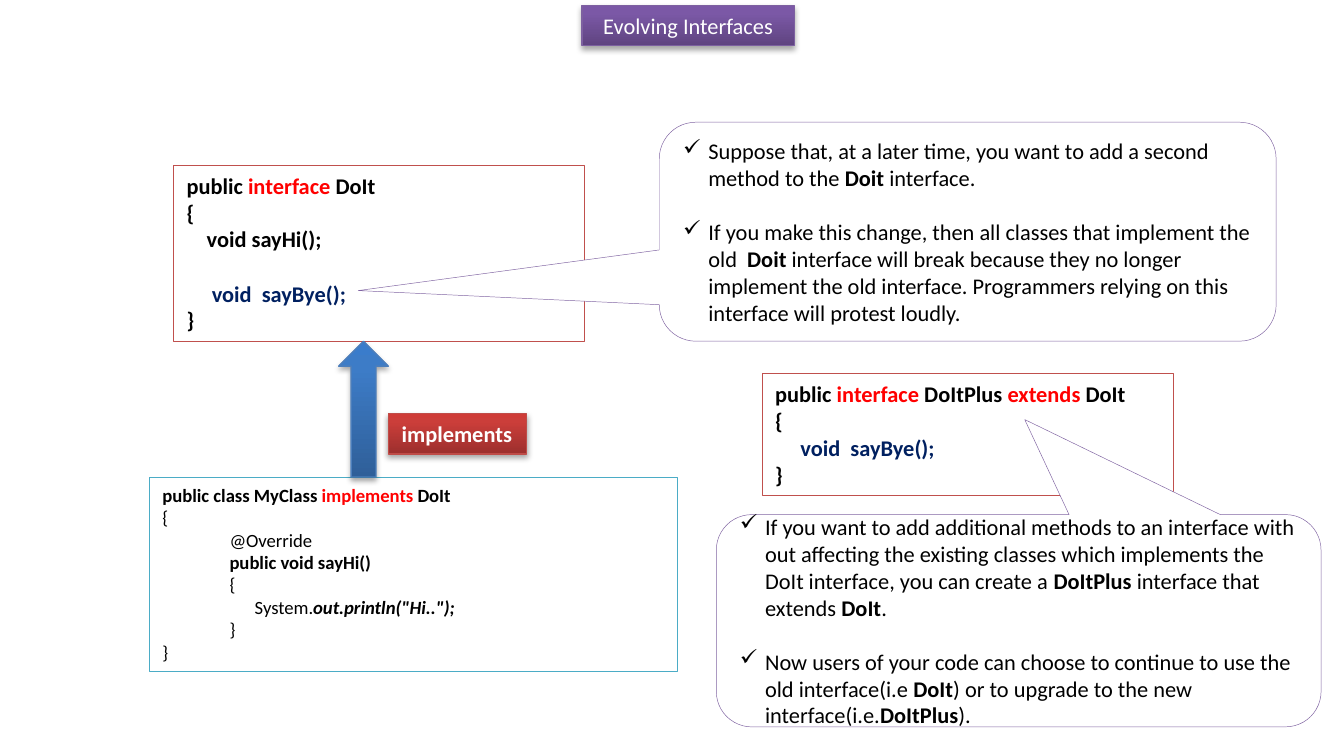
from lxml.etree import SubElement
from pptx import Presentation
from pptx.dml.color import RGBColor
from pptx.enum.shapes import MSO_SHAPE as SHAPE
from pptx.enum.text import MSO_ANCHOR as ANCHOR, PP_ALIGN as ALIGN
from pptx.oxml.ns import qn
from pptx.util import Inches, Pt

THEME = {
    "font": "Calibri", "body": 12, "small": 10,
    "paper": "FFFFFF", "ink": "000000",
    "purple": ("5F4480", "7B58A6", "7C57A8"), "purple_line": "7D60A0",
    "red": ("9C2F2D", "CB3E3A", "CE3B37"), "red_line": "BF4C48",
    "blue": ("2F5F99", "3D7CC7", "3A7CCB"), "blue_line": "4B7EBC",
    "interface": "C0504D", "class": "4BACC6", "callout": "8064A2",
}
STOPS = (0, 80, 100)
COLS, ROWS = 100, 55
WIDTH, HEIGHT = Inches(10), Inches(5.5)
HANG, TAB = Pt(13.5), Inches(0.5)

# Run styles: font attributes, with the colour under "color"
PLAIN = {"bold": False}
BOLD = {"bold": True}
KEY = {"bold": True, "color": "FF0000"}
NEW = {"bold": True, "color": "002060"}
CALL = {"bold": True, "italic": True}
LABEL = {"color": THEME["paper"]}

# A paragraph is (runs, format); a run is (text, style)
INTERFACE = [
    ([("public ", BOLD), ("interface ", KEY), ("DoIt", BOLD)], {}),
    ([("{", BOLD)], {}),
    ([("    void sayHi();", BOLD)], {}),
    ([("     void  sayBye();", NEW)], {"gap": 14.6}),
    ([("}", BOLD)], {}),
]
CLASS = [
    ([("public class MyClass ", BOLD), ("implements ", KEY), ("DoIt", BOLD)], {}),
    ([("{", PLAIN)], {}),
    ([("@Override", PLAIN)], {"left": TAB}),
    ([("public void sayHi()", BOLD)], {"left": TAB}),
    ([("{", PLAIN)], {"left": TAB}),
    ([("      System.", PLAIN), ('out.println("Hi..");', CALL)], {"left": TAB}),
    ([("}", PLAIN)], {"left": TAB}),
    ([("}", PLAIN)], {}),
]
SUBINTERFACE = [
    ([("public ", BOLD), ("interface ", KEY), ("DoItPlus ", BOLD),
      ("extends", KEY), (" DoIt", BOLD)], {}),
    ([("{", BOLD)], {}),
    ([("     void  sayBye();", NEW)], {}),
    ([("}", BOLD)], {}),
]
BULLET = {"left": HANG, "bullet": "✓"}
SPACED = {**BULLET, "gap": 14.6}
PROBLEM = [
    ([("Suppose that, at a later time, you want to add a second method to the ", PLAIN),
      ("Doit ", BOLD), ("interface.", PLAIN)], BULLET),
    ([("If you make this change, then all classes that implement the old\u00a0 ", PLAIN),
      ("Doit", BOLD),
      ("\u00a0interface will break because they no longer implement the old interface. "
       "Programmers relying on this interface will protest loudly.", PLAIN)], SPACED),
]
SOLUTION = [
    ([("If you want to add additional methods to an interface with out affecting the "
       "existing classes which implements the DoIt interface, you can create a ", PLAIN),
      ("DoItPlus", BOLD), ("\u00a0interface that extends\u00a0", PLAIN),
      ("DoIt", BOLD), (".", PLAIN)], BULLET),
    ([("Now users of your code can choose to continue to use the old interface(i.e ", PLAIN),
      ("DoIt", BOLD), (") or to upgrade to the new interface(i.e.", PLAIN),
      ("DoItPlus", BOLD), (").", PLAIN)], SPACED),
]
TITLE = [([("Evolving Interfaces", LABEL)], {"align": ALIGN.CENTER})]
RELATION = [([("implements", {**LABEL, **BOLD})], {})]

# Shape, (column, row, columns, rows), fill, line, line width, paragraphs, options
BOX, CALLOUT = SHAPE.RECTANGLE, SHAPE.ROUNDED_RECTANGULAR_CALLOUT
ITEMS = [
    (BOX, (43.3, 0.4, 15.8, 3), "purple", "purple_line", 0.75, TITLE, {}),
    (BOX, (12.9, 12.3, 30.6, 13.1), "paper", "interface", 0.5, INTERFACE, {}),
    (BOX, (11.1, 35.5, 39.3, 14.5), "paper", "class", 0.5, CLASS, {"size": "small"}),
    (BOX, (28.9, 30.8, 10.3, 3), "red", "red_line", 0.75, RELATION, {"wrap": False}),
    (SHAPE.UP_ARROW, (25.2, 25.4, 3.7, 10.1), "blue", "blue_line", 0.75, [], {}),
    (CALLOUT, (49.05, 9.1, 45.9, 16.3), "paper", "callout", 0.25, PROBLEM,
     {"tail": (-0.988, 0.269, 0.167)}),
    (BOX, (56.7, 27.8, 30.6, 9.1), "paper", "interface", 0.5, SUBINTERFACE, {}),
    (CALLOUT, (53.3, 38.3, 45, 15.8), "paper", "callout", 0.25, SOLUTION,
     {"tail": (0.01, -0.948, 0.167)}),
]


def color(value):
    return RGBColor.from_string(value)


def add_xml(parent, tag, **attrs):
    return SubElement(parent, qn(tag), {k: str(v) for k, v in attrs.items()})


def shade(sp, colors):
    """Give a shape a three-stop upward gradient and a soft drop shadow."""
    sp.fill.gradient()
    sp.fill.gradient_angle = 90
    props = sp._element.spPr
    stops = props.find(qn("a:gradFill")).find(qn("a:gsLst"))
    for old in list(stops):
        stops.remove(old)
    for pos, value in zip(STOPS, colors):
        add_xml(add_xml(stops, "a:gs", pos=pos * 1000), "a:srgbClr", val=value)
    shadow = add_xml(props.find(qn("a:effectLst")), "a:outerShdw", blurRad=Pt(3.1),
                     dist=Pt(1.8), dir=90 * 60000, rotWithShape=0)
    add_xml(add_xml(shadow, "a:srgbClr", val=THEME["ink"]), "a:alpha", val=35000)


def write(p, runs, fmt, size):
    p.alignment = fmt.get("align", ALIGN.LEFT)
    p.space_before = Pt(fmt.get("gap", 0))
    props = p._p.get_or_add_pPr()
    props.set("marL", str(fmt.get("left", 0)))
    if "bullet" in fmt:
        props.set("indent", str(-fmt["left"]))
        add_xml(props, "a:buChar", char=fmt["bullet"])
    for text, style in runs:
        r = p.add_run()
        r.text = text
        look = {"name": THEME["font"], "size": Pt(size), "color": THEME["ink"], **style}
        r.font.color.rgb = color(look.pop("color"))
        for name, value in look.items():
            setattr(r.font, name, value)


def add_item(slide, kind, cells, fill, line, weight, paragraphs, options):
    units = (WIDTH / COLS, HEIGHT / ROWS) * 2
    sp = slide.shapes.add_shape(kind, *(round(c * u) for c, u in zip(cells, units)))
    sp.shadow.inherit = False
    sp.line.color.rgb = color(THEME[line])
    sp.line.width = Pt(weight)
    if isinstance(THEME[fill], tuple):
        shade(sp, THEME[fill])
    else:
        sp.fill.solid()
        sp.fill.fore_color.rgb = color(THEME[fill])
    for i, value in enumerate(options.get("tail", ())):
        sp.adjustments[i] = value
    tf = sp.text_frame
    tf.word_wrap = options.get("wrap", True)
    tf.vertical_anchor = ANCHOR.MIDDLE if kind == CALLOUT else ANCHOR.TOP
    for i, (runs, fmt) in enumerate(paragraphs):
        p = tf.add_paragraph() if i else tf.paragraphs[0]
        write(p, runs, fmt, THEME[options.get("size", "body")])


def main():
    prs = Presentation()
    prs.slide_width, prs.slide_height = WIDTH, HEIGHT
    slide = prs.slides.add_slide(prs.slide_layouts[6])
    for item in ITEMS:
        add_item(slide, *item)
    prs.save("out.pptx")


if __name__ == "__main__":
    main()
